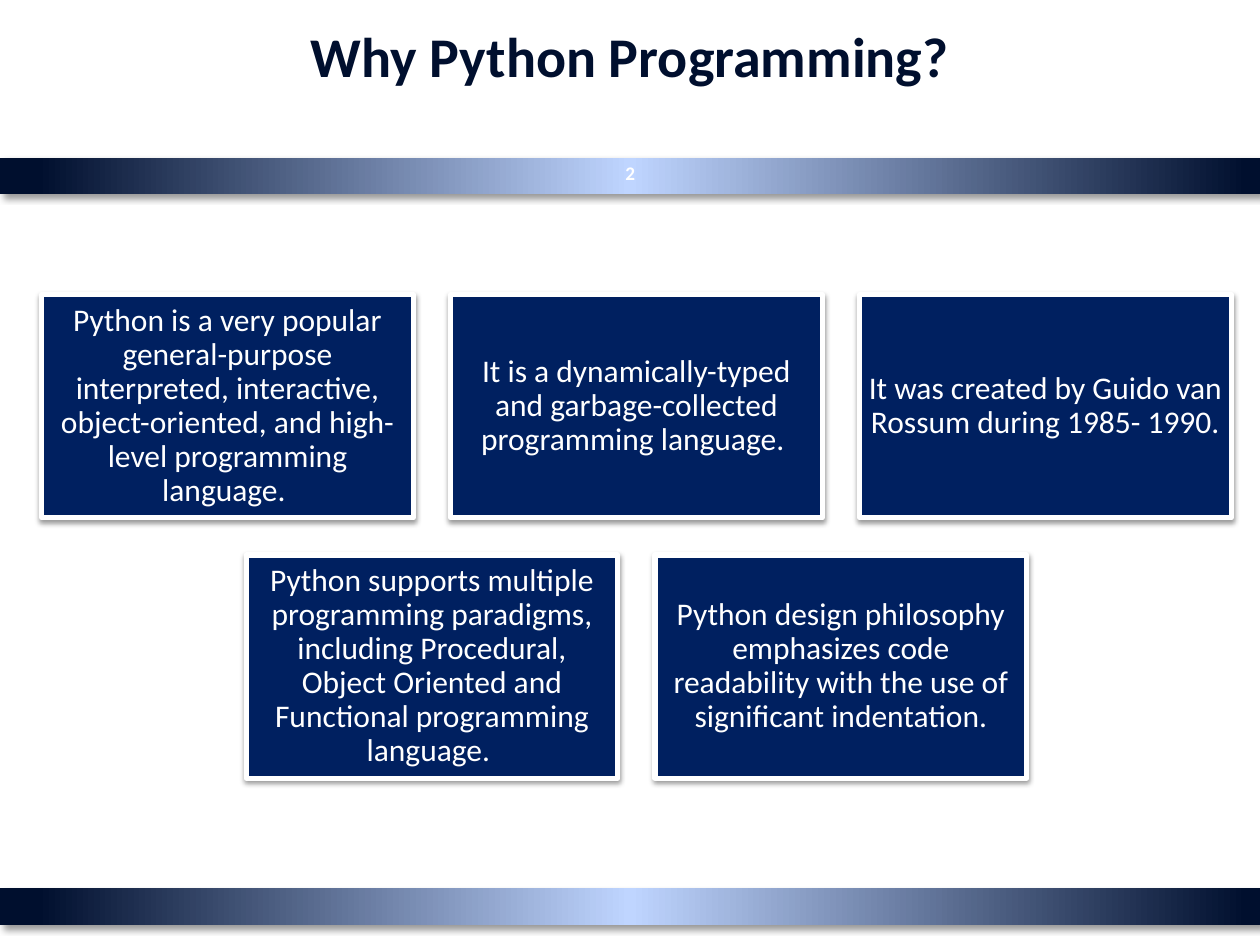
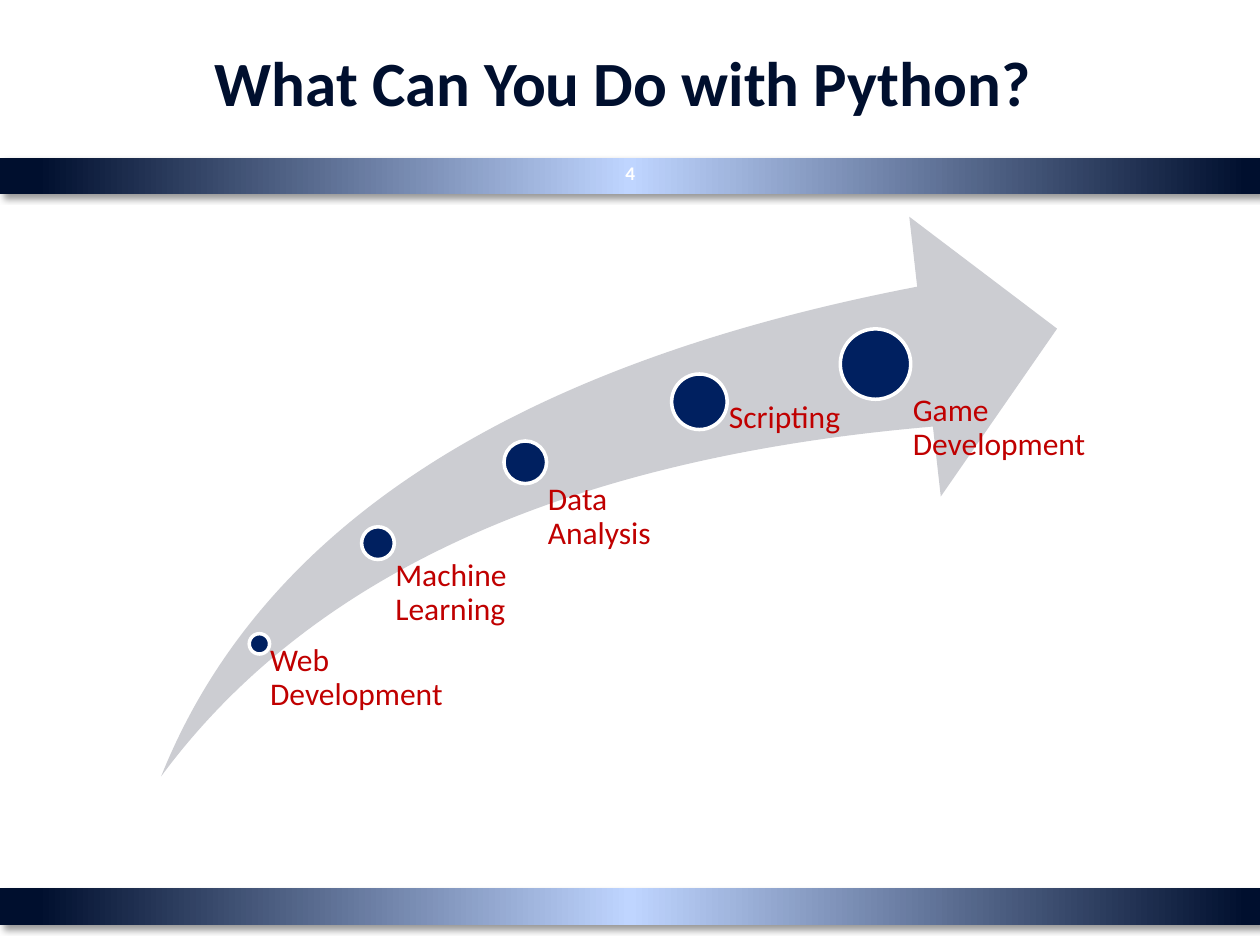
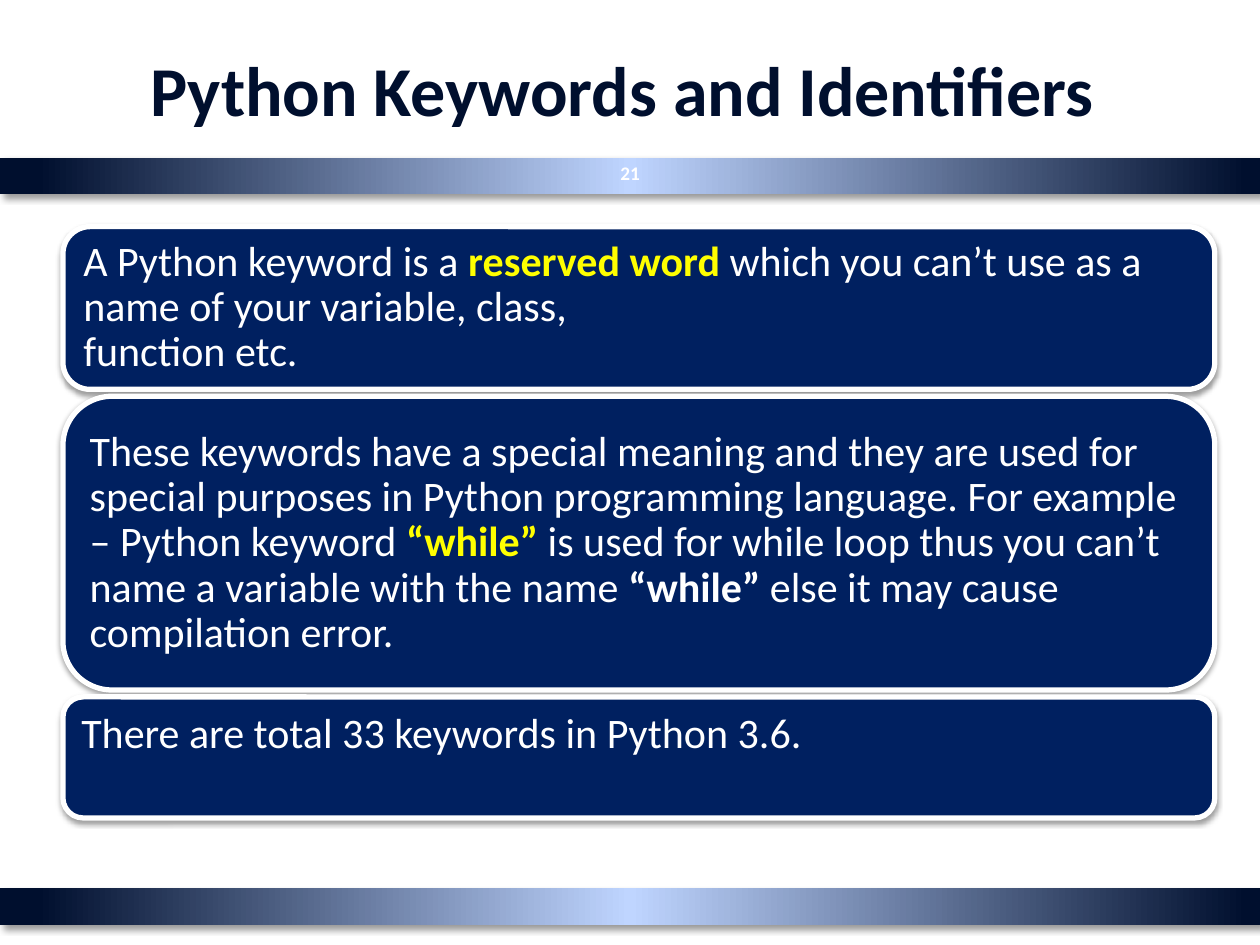
from dataclasses import dataclass

from lxml import etree
from pptx import Presentation
from pptx.dml.color import RGBColor
from pptx.enum import shapes, text
from pptx.oxml.ns import qn
from pptx.util import Cm, Pt


@dataclass(frozen=True)
class Theme:
    font: str = "Calibri"
    ink: str = "000F2E"
    glow: str = "BFD5FF"
    navy: str = "002060"
    swoosh: str = "CCCDD2"
    red: str = "C00000"
    yellow: str = "FFFF00"
    white: str = "FFFFFF"
    body: int = 18
    large: int = 24
    number: int = 11
    tight: float = 0.9
    # Shadows: opacity %, blur pt, distance pt, direction in degrees
    band: tuple = (40, 4, 3, 45)
    card: tuple = (38, 3.1, 1.6, 90)


T = Theme()
WIDE, HIGH = 25.4, 19.05
KIND = shapes.MSO_SHAPE
LEFT, MID = text.PP_ALIGN.LEFT, text.PP_ALIGN.CENTER


def rgb(code):
    return RGBColor.from_string(code)


def place(box):
    return [Cm(n) for n in box]


def add_color(parent, code, alpha=None):
    node = etree.SubElement(parent, qn("a:srgbClr"), val=code)
    if alpha is not None:
        etree.SubElement(node, qn("a:alpha"), val=str(alpha * 1000))


def cast(shape, shadow):
    """Give a shape a soft outer shadow."""
    alpha, blur, dist, turn = shadow
    effects = shape.element.spPr.find(qn("a:effectLst"))
    outer = etree.SubElement(
        effects, qn("a:outerShdw"), blurRad=str(int(Pt(blur))),
        dist=str(int(Pt(dist))), dir=str(turn * 60000), rotWithShape="0")
    add_color(outer, "000000", alpha)


def draw(slide, kind, box, fill, line=0, shadow=None):
    shape = slide.shapes.add_shape(kind, *place(box))
    shape.shadow.inherit = False
    shape.fill.solid()
    shape.fill.fore_color.rgb = rgb(fill)
    if line:
        shape.line.color.rgb = rgb(T.white)
        shape.line.width = Pt(line)
    else:
        shape.line.fill.background()
    if shadow:
        cast(shape, shadow)
    return shape


def style(run, size, color, bold=False):
    font = run.font
    font.name, font.size, font.bold = T.font, Pt(size), bold
    font.color.rgb = rgb(color)


def frame(shape, insets, anchor=text.MSO_ANCHOR.MIDDLE):
    """Set the insets (left, top, right, bottom) of a wrapping text."""
    tf = shape.text_frame
    tf.auto_size = text.MSO_AUTO_SIZE.NONE
    tf.word_wrap = True
    tf.vertical_anchor = anchor
    tf.margin_left, tf.margin_top, tf.margin_right, tf.margin_bottom = place(insets)
    return tf


def write(tf, words, size, color, align=LEFT, bold=False, tight=None):
    tf.text = words
    para = tf.paragraphs[0]
    para.alignment = align
    if tight:
        para.line_spacing = tight
    for run in para.runs:
        style(run, size, color, bold)


def line_high(size):
    """Height in cm of one line of text."""
    return 1.2 * size / 72 * 2.54


# Shared parts

def add_bands(slide, layout):
    """Build both gradient bands and hand them to the layout."""
    stops = ((0, T.ink), (3, T.ink), (50, T.glow), (99, T.ink), (100, T.ink))
    for count, top in enumerate((3.18, 17.91)):
        band = draw(slide, KIND.RECTANGLE, (0, top, WIDE, 0.74), T.ink,
                    shadow=T.band)
        band.fill.gradient()
        band.fill.gradient_angle = 0
        ramp = band.element.spPr.find(qn("a:gradFill")).find(qn("a:gsLst"))
        for old in list(ramp):
            ramp.remove(old)
        for pos, code in stops:
            stop = etree.SubElement(ramp, qn("a:gs"), pos=str(pos * 1000))
            add_color(stop, code)
        band.element.nvSpPr.cNvPr.set("id", str(90 + count))
        layout.shapes.element.insert(2 + count, band.element)


def add_head(slide, words, size, number, top=0.2, lift=0):
    """Title, raised by half of `lift` lines, and the page number."""
    title = slide.shapes.title
    title.left, title.top, title.width, title.height = place((1.27, top, 22.86, 3.18))
    tf = frame(title, (0.25, 0.13, 0.25, 0.13 + lift * line_high(size)))
    write(tf, words, size, T.ink, MID, True)
    page = slide.shapes.add_textbox(*place((12.17, 2.97, 1.07, 1.02)))
    tf = frame(page, (0.25, 0.13, 0.25, 0.13))
    write(tf, str(number), T.number, T.white, MID, True)


# Regions

def add_cards(slide, box, rows, gap=0.75):
    """Rows of equal cards, each row centred in the box."""
    left, top, wide, high = box
    most = max(len(row) for row in rows)
    w = (wide - gap * (most - 1)) / most
    h = (high - gap * (len(rows) - 1)) / len(rows)
    for r, row in enumerate(rows):
        start = left + (most - len(row)) * (w + gap) / 2
        for c, words in enumerate(row):
            spot = (start + c * (w + gap), top + r * (h + gap), w, h)
            card = draw(slide, KIND.RECTANGLE, spot, T.navy, 3, T.card)
            tf = frame(card, (0.18,) * 4)
            write(tf, words, T.body, T.white, MID, tight=T.tight)


def add_path(slide, box, steps):
    """Rising arrow with growing dots and their labels."""
    left, top = box[:2]
    arrow = draw(slide, KIND.SWOOSH_ARROW, box, T.swoosh)
    arrow.adjustments[0] = arrow.adjustments[1] = 0.25
    for words, x, y, size, drop, wide, high in steps:
        x, y = left + x, top + y
        draw(slide, KIND.OVAL, (x - size / 2, y - size / 2, size, size), T.navy, 2)
        label = slide.shapes.add_textbox(*place((x, y + drop, wide, high)))
        tf = frame(label, (0.53 * size, 0, 0, 0), text.MSO_ANCHOR.TOP)
        write(tf, words, T.body, T.red, tight=T.tight)


def add_stack(slide, box, panels, gap=0.14):
    """Rounded panels below one another; pieces are (words, color, bold)."""
    left, top, wide = box
    for high, lift, pieces in panels:
        panel = draw(slide, KIND.ROUNDED_RECTANGLE, (left, top, wide, high),
                     T.navy, 3, T.card)
        low = 0.25 + lift * T.tight * line_high(T.large)
        para = frame(panel, (0.25, 0.25, 0.25, low)).paragraphs[0]
        para.alignment, para.line_spacing = LEFT, T.tight
        for words, color, bold in pieces:
            if words == "\n":
                para.add_line_break()
                continue
            run = para.add_run()
            run.text = words
            style(run, T.large, color, bold)
        top += high + gap


# Content

REASONS = (
    ("Python is a very popular general-purpose interpreted, interactive, "
     "object-oriented, and high-level programming language. ",
     "It is a dynamically-typed and garbage-collected programming language. ",
     "It was created by Guido van Rossum during 1985- 1990. "),
    ("Python supports multiple programming paradigms, including Procedural, "
     "Object Oriented and Functional programming language. ",
     "Python design philosophy emphasizes code readability with the use of "
     "significant indentation."),
)

# Label, dot centre x and y, dot size, label drop, width and height
USES = (
    ("Web Development", 1.98, 8.61, 0.41, 0, 4.04, 2.69),
    ("Machine Learning", 4.37, 6.58, 0.66, 0.33, 3.76, 3.73),
    ("Data Analysis", 7.34, 4.95, 0.86, 0.43, 3.48, 5.49),
    ("Scripting", 10.85, 3.73, 1.12, 0, 3.61, 7.57),
    ("Game Development", 14.4, 2.97, 1.42, 0.61, 5.23, 6.78),
)

# Height, lines of lift, pieces
KEYWORDS = (
    (3.28, 0, (
        ("A Python keyword is a ", T.white, False),
        ("reserved word ", T.yellow, True),
        ("which you can’t use as a name of your variable, class,", T.white, False),
        ("\n", T.white, False),
        ("function etc.", T.white, False))),
    (5.92, 0, (
        ("These keywords have a special meaning and they are used for special "
         "purposes in Python programming language. For example – Python "
         "keyword ", T.white, False),
        ("“while” ", T.yellow, True),
        ("is used for while loop thus you can’t name a variable with the "
         "name ", T.white, False),
        ("“while” ", T.white, True),
        ("else it may cause compilation error.", T.white, False))),
    (2.44, 1, (("There are total 33 keywords in Python 3.6. ", T.white, False),)),
)


def main():
    prs = Presentation()
    prs.slide_width, prs.slide_height = Cm(WIDE), Cm(HIGH)
    layout = prs.slide_layouts[5]
    why, uses, words = [prs.slides.add_slide(layout) for _ in range(3)]
    add_bands(why, layout)

    add_head(why, "Why Python Programming?", 32, 2, lift=1)
    add_cards(why, (0.84, 5.94, 23.98, 9.75), REASONS)

    add_head(uses, "What Can You Do with Python? ", 36, 4, top=0.81, lift=1)
    add_path(uses, (3.25, 4.37, 18.06, 11.28), USES)

    add_head(words, "Python Keywords and Identifiers ", 40, 21)
    add_stack(words, (1.27, 4.57, 23.22), KEYWORDS)

    prs.save("out.pptx")


if __name__ == "__main__":
    main()
